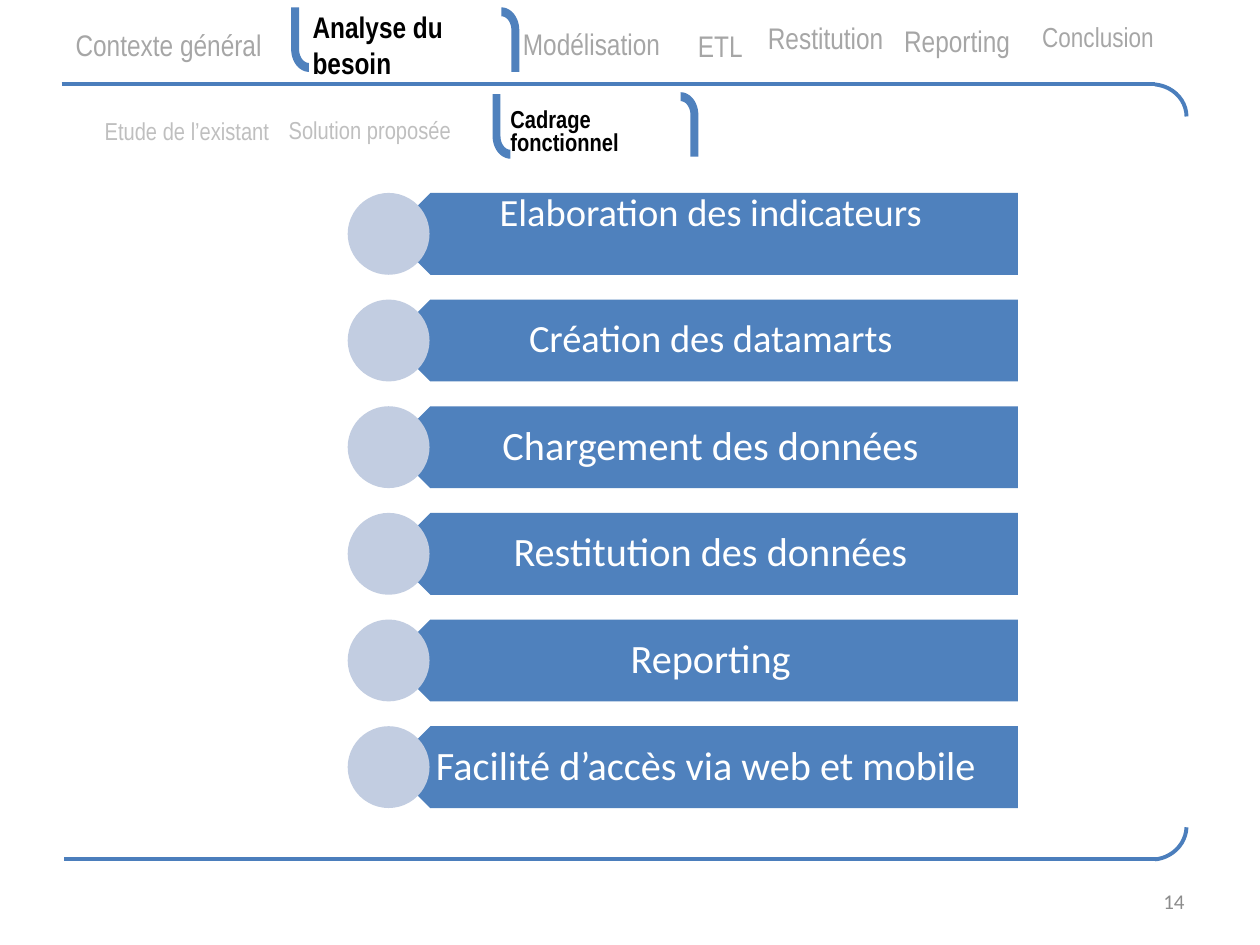
from dataclasses import dataclass
from math import cos, pi, sin

from lxml.etree import SubElement
from pptx import Presentation
from pptx.dml.color import RGBColor
from pptx.enum.shapes import MSO_CONNECTOR, MSO_SHAPE
from pptx.enum.text import MSO_ANCHOR, MSO_AUTO_SIZE, PP_ALIGN
from pptx.oxml.ns import qn
from pptx.util import Cm, Pt


@dataclass(frozen=True)
class Theme:
    blue: RGBColor = RGBColor(0x4F, 0x81, 0xBD)
    rule: RGBColor = RGBColor(0x4B, 0x7E, 0xBC)
    disc: RGBColor = RGBColor(0xC2, 0xCD, 0xE1)
    active: RGBColor = RGBColor(0, 0, 0)
    tab: RGBColor = RGBColor(0xA6, 0xA6, 0xA6)
    subtab: RGBColor = RGBColor(0xBF, 0xBF, 0xBF)
    number: RGBColor = RGBColor(0x8C, 0x8C, 0x8C)
    white: RGBColor = RGBColor(0xFF, 0xFF, 0xFF)
    tab_font: str = "Arial Narrow"
    body_font: str = "Calibri"
    tab_size: float = 17
    last_tab_size: float = 15.7
    subtab_size: float = 14
    small_step_size: float = 22
    step_size: float = 23
    number_size: float = 12
    rule_width: float = 2.25


theme = Theme()


def write(shape, text, font, size, color, align=PP_ALIGN.LEFT, spacing=1.0, bold=False):
    """Fill a shape with one formatted paragraph, without insets."""
    frame = shape.text_frame
    frame.word_wrap = True
    frame.auto_size = MSO_AUTO_SIZE.NONE
    frame.vertical_anchor = MSO_ANCHOR.MIDDLE
    frame.margin_left = frame.margin_right = frame.margin_top = frame.margin_bottom = 0
    frame.text = text
    paragraph = frame.paragraphs[0]
    paragraph.alignment = align
    paragraph.line_spacing = spacing
    paragraph.font.name = font
    paragraph.font.size = Pt(size)
    paragraph.font.bold = bold
    paragraph.font.color.rgb = color
    return frame


def paint(shape, color):
    shape.shadow.inherit = False
    shape.fill.solid()
    shape.fill.fore_color.rgb = color
    shape.line.fill.background()


presentation = Presentation()
presentation.slide_width, presentation.slide_height = Cm(25.4), Cm(19.05)
slide = presentation.slides.add_slide(presentation.slide_layouts[5])
shapes = slide.shapes

# Main navigation: the current chapter is the slide title
title = shapes.title
title.left, title.top, title.width, title.height = Cm(6.3), Cm(0.28), Cm(4.29), Cm(1.24)
write(title, "Analyse du besoin", theme.tab_font, theme.tab_size, theme.active, bold=True)

tabs = [
    ("Contexte général", 1.24, 0.33, 4.32, 1.14, PP_ALIGN.CENTER, theme.tab_size, 1.0),
    ("Modélisation", 9.78, 0.25, 4.29, 1.24, PP_ALIGN.CENTER, theme.tab_size, 1.0),
    ("ETL", 14.07, 0.38, 3.53, 1.07, PP_ALIGN.LEFT, theme.tab_size, 1.0),
    ("Restitution", 14.5, 0.13, 4.29, 1.24, PP_ALIGN.CENTER, theme.tab_size, 1.0),
    ("Reporting", 17.15, 0.2, 4.29, 1.24, PP_ALIGN.CENTER, theme.tab_size, 1.0),
    ("Conclusion", 21.01, 0.15, 2.51, 1.24, PP_ALIGN.LEFT, theme.last_tab_size, 0.9),
]
for text, left, top, width, height, align, size, spacing in tabs:
    box = shapes.add_textbox(Cm(left), Cm(top), Cm(width), Cm(height))
    write(box, text, theme.tab_font, size, theme.tab, align, spacing)

# Second navigation level
subtabs = [
    ("Etude de l’existant", 2.11, 2.13, theme.subtab, False),
    ("Solution proposée", 5.82, 2.11, theme.subtab, False),
    ("Cadrage fonctionnel", 10.29, 2.11, theme.active, True),
]
for text, left, top, color, bold in subtabs:
    box = shapes.add_textbox(Cm(left), Cm(top), Cm(3.61), Cm(1.14))
    write(box, text, theme.tab_font, theme.subtab_size, color, spacing=0.8, bold=bold)

# Hooks around the current entries; the right one is the left one turned half round
hook_width, hook_height, bend, thickness = 0.36, 1.3, 0.84, 0.16
angles = [step * pi / 24 for step in range(13)]
outer = [(hook_width * (1 - cos(a)), bend + (hook_height - bend) * sin(a)) for a in angles]
inner = [(hook_width - (hook_width - thickness) * cos(a), bend + 0.28 * sin(a))
         for a in reversed(angles)]
outline = [(0, 0)] + outer + inner + [(thickness, 0)]
for left, top, turned in [(5.87, 0.15, False), (10.11, 0.15, True),
                          (9.93, 1.9, False), (13.72, 1.86, True)]:
    points = [(hook_width - x, hook_height - y) if turned else (x, y) for x, y in outline]
    points = [(Cm(left + x), Cm(top + y)) for x, y in points]
    builder = shapes.build_freeform(*points[0])
    builder.add_line_segments(points[1:], close=True)
    paint(builder.convert_to_shape(), theme.blue)

# Rules with a rounded right end: line start, line end, line y, arc top, arc height, arc angles
for start, end, y, arc_top, arc_height, arc_angles in [
    (1.24, 23.29, 1.7, 1.7, 1.3, (165.97, 0)),
    (1.3, 23.37, 17.32, 15.98, 1.35, (1.15, 50.03)),
]:
    rule = shapes.add_connector(MSO_CONNECTOR.STRAIGHT, Cm(start), Cm(y), Cm(end), Cm(y))
    SubElement(rule._element.spPr, qn("a:effectLst"))
    arc = shapes.add_shape(MSO_SHAPE.ARC, Cm(22.5), Cm(arc_top), Cm(1.42), Cm(arc_height))
    arc.shadow.inherit = False
    arc.fill.background()
    arc.adjustments[0], arc.adjustments[1] = arc_angles
    for part in (rule, arc):
        part.line.color.rgb = theme.rule
        part.line.width = Pt(theme.rule_width)

# Steps: a bar pointing left, its label and a disc over the tip
steps = [
    ("Elaboration des indicateurs", theme.small_step_size, MSO_ANCHOR.TOP),
    ("Création des datamarts", theme.small_step_size, MSO_ANCHOR.MIDDLE),
    ("Chargement des données", theme.step_size, MSO_ANCHOR.MIDDLE),
    ("Restitution des données", theme.step_size, MSO_ANCHOR.MIDDLE),
    ("Reporting", theme.step_size, MSO_ANCHOR.MIDDLE),
    ("Facilité d’accès via web et mobile ", theme.step_size, MSO_ANCHOR.MIDDLE),
]
bar_left, bar_width, bar_height = Cm(7.85), Cm(12.67), Cm(1.65)
for index, (text, size, anchor) in enumerate(steps):
    top = Cm(3.89 + 2.15 * index)
    bar = shapes.add_shape(MSO_SHAPE.PENTAGON, bar_left, top, bar_width, bar_height)
    bar.rotation = 180
    paint(bar, theme.blue)
    label = shapes.add_textbox(bar_left, top, bar_width, bar_height)
    frame = write(label, text, theme.body_font, size, theme.white, PP_ALIGN.CENTER, 0.9)
    frame.margin_left, frame.margin_right = Cm(0.74), Cm(0.45)
    frame.vertical_anchor = anchor
    disc = shapes.add_shape(MSO_SHAPE.OVAL, Cm(7.01), top, bar_height, bar_height)
    paint(disc, theme.disc)

# Page number
number = shapes.add_textbox(Cm(18.21), Cm(17.65), Cm(5.92), Cm(1.02))
frame = write(number, "14", theme.body_font, theme.number_size, theme.number, PP_ALIGN.RIGHT)
frame.margin_right = Cm(0.25)

presentation.save("out.pptx")
